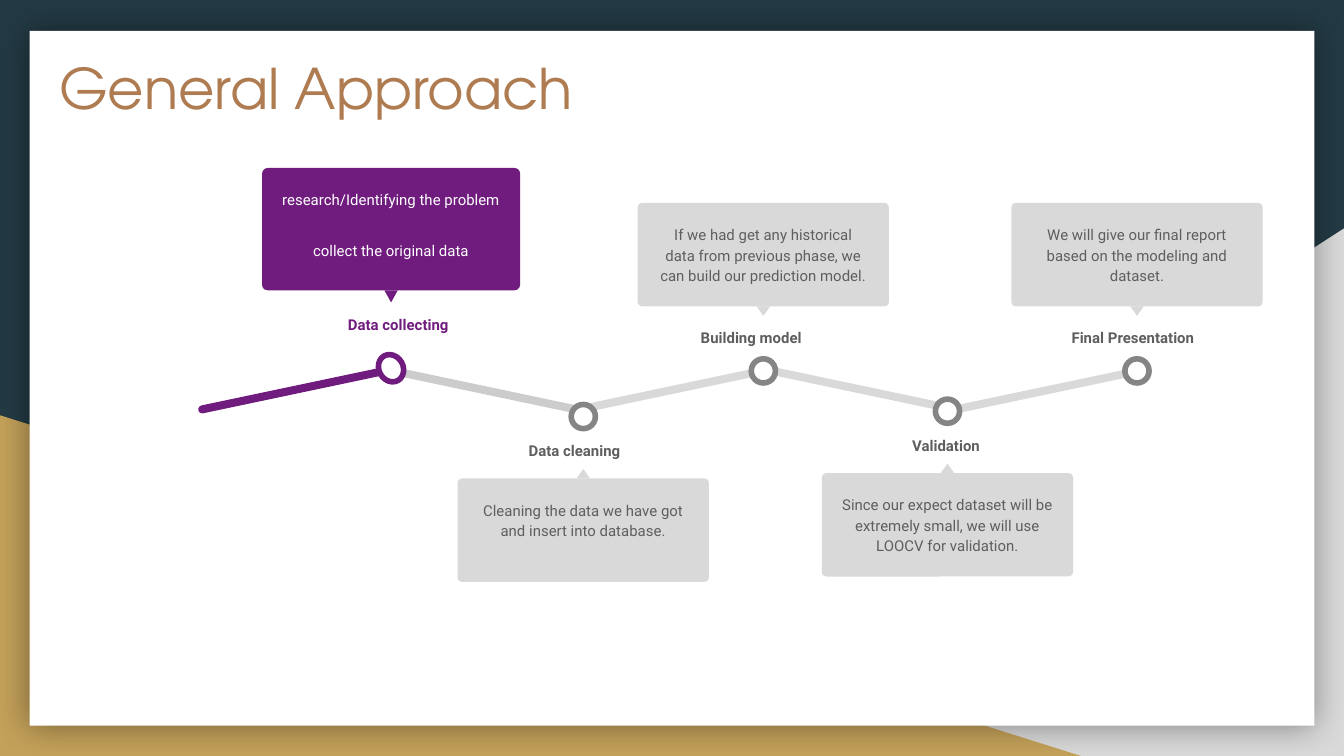
from lxml.etree import SubElement
from pptx import Presentation
from pptx.dml.color import RGBColor
from pptx.enum.shapes import MSO_SHAPE
from pptx.enum.text import MSO_ANCHOR, PP_ALIGN
from pptx.oxml.ns import qn
from pptx.util import Inches, Pt

THEME = {
    "navy": "233A44", "gold": "C4A15A", "silver": "D9D9D9", "white": "FFFFFF",
    "title": "AF7B51", "accent": "701C7F", "ring": "858585", "text": "5E5E5E",
    "link": "CCCCCC", "title_size": 30, "body_size": 8,
    "title_font": "TeX Gyre Adventor", "body_font": "Roboto",
}


def color(name):
    return RGBColor.from_string(THEME[name])


def add_shape(shapes, kind, box, fill, rotation=0):
    shape = shapes.add_shape(kind, *map(Inches, box))
    shape.shadow.inherit = False
    shape.fill.solid()
    shape.fill.fore_color.rgb = color(fill)
    shape.line.fill.background()
    shape.rotation = rotation
    return shape


def add_text(shapes, box, lines, text_color, bold=False, align=PP_ALIGN.CENTER):
    frame = shapes.add_textbox(*map(Inches, box)).text_frame
    frame.word_wrap = True
    for side in ("left", "right", "top", "bottom"):
        setattr(frame, f"margin_{side}", Inches(0.1))
    for index, line in enumerate(lines):
        paragraph = frame.add_paragraph() if index else frame.paragraphs[0]
        paragraph.text = line
        last = index == len(lines) - 1
        layout = {"alignment": align, "line_spacing": 1.15,
                  "space_before": Pt(16 if index else 0),
                  "space_after": Pt(16 if last else 0)}
        for name, value in layout.items():
            setattr(paragraph, name, value)
        font = paragraph.runs[0].font
        font.color.rgb = color(text_color)
        style = {"name": THEME["body_font"], "size": Pt(THEME["body_size"]), "bold": bold}
        for name, value in style.items():
            setattr(font, name, value)


presentation = Presentation()
presentation.slide_width = Inches(10)
presentation.slide_height = Inches(5.625)
slide = presentation.slides.add_slide(presentation.slide_layouts[5])
shapes = slide.shapes

# Background: two corner triangles and a white panel with a soft shadow
slide.background.fill.solid()
slide.background.fill.fore_color.rgb = color("navy")
triangle = add_shape(shapes, MSO_SHAPE.RIGHT_TRIANGLE, (3.92, 1.7, 6.08, 3.93), "silver")
triangle.element.spPr.find(qn("a:xfrm")).set("flipH", "1")
add_shape(shapes, MSO_SHAPE.RIGHT_TRIANGLE, (0, 3.09, 8.06, 2.54), "gold")
panel = add_shape(shapes, MSO_SHAPE.RECTANGLE, (0.22, 0.23, 9.56, 5.17), "white")
effects = panel.element.spPr.find(qn("a:effectLst"))
shadow = SubElement(effects, qn("a:outerShdw"), blurRad=str(Pt(18)), dist="0",
                    algn="ctr", rotWithShape="0")
shadow_color = SubElement(shadow, qn("a:srgbClr"), val="000000")
SubElement(shadow_color, qn("a:alpha"), val="40000")

# Title, brought in front of the panel
title = shapes.title
panel.element.addnext(title.element)
placement = {"left": 0.34, "top": 0.3, "width": 9.32, "height": 0.91}
for name, value in placement.items():
    setattr(title, name, Inches(value))
frame = title.text_frame
frame.text = "General Approach"
frame.vertical_anchor = MSO_ANCHOR.TOP
for side in ("left", "right", "top", "bottom"):
    setattr(frame, f"margin_{side}", Inches(0.1))
paragraph = frame.paragraphs[0]
paragraph.alignment = PP_ALIGN.LEFT
font = paragraph.runs[0].font
font.name = THEME["title_font"]
font.size = Pt(THEME["title_size"])
font.color.rgb = color("title")

# Zigzag of links, alternately rising and falling
links = [(1.46, "accent"), (2.85, "link"), (4.27, "silver"), (5.67, "silver"), (7.07, "silver")]
for index, (left, fill) in reversed(list(enumerate(links))):
    link = add_shape(shapes, MSO_SHAPE.ROUNDED_RECTANGLE, (left, 2.87, 1.48, 0.06), fill,
                     11.9 if index % 2 else -11.9)
    link.adjustments[0] = 0.5

# Steps: node centre, label left and width, label, card lines
steps = [
    (2.91, 2.74, 2.49, 1.23, "Data collecting",
     ["research/Identifying the problem", "collect the original data"]),
    (4.34, 3.1, 3.75, 1.05, "Data cleaning",
     ["Cleaning the data we have got and insert into database."]),
    (5.68, 2.76, 5.07, 1.04, "Building model",
     ["If we had get any historical data from previous phase, we can build our prediction model."]),
    (7.05, 3.06, 6.66, 0.76, "Validation",
     ["Since our expect dataset will be extremely small, we will use LOOCV for validation."]),
    (8.46, 2.76, 7.82, 1.22, "Final Presentation",
     ["We will give our final report based on the modeling and dataset."]),
]
for index, (x, y, label_left, label_width, label, lines) in enumerate(steps):
    group = shapes.add_group_shape().shapes
    active, below = index == 0, index % 2 == 1
    fill, ring, label_color, body_color = (
        ("accent", "accent", "accent", "white") if active
        else ("silver", "ring", "text", "text"))
    width, height, tip, node = (1.92, 0.91, 0.09, 0.21) if active else (1.87, 0.77, 0.07, 0.18)
    if below:
        label_top, card_top = y + 0.09, y + 0.46
        tip_top = card_top - tip
    else:
        label_top = 2.25 if active else y - 0.41
        tip_top = label_top - tip
        card_top = tip_top - height

    # Card with its pointer
    left = x - width / 2
    card = add_shape(group, MSO_SHAPE.ROUNDED_RECTANGLE, (left, card_top, width, height), fill)
    card.adjustments[0] = 0.045
    add_shape(group, MSO_SHAPE.ISOSCELES_TRIANGLE, (x - 0.05, tip_top, 0.1, tip), fill,
              0 if below else 180)
    add_text(group, (left + 0.05, card_top + 0.05, width - 0.1, height - 0.1), lines, body_color)

    # Label and node
    add_text(group, (label_left, label_top, label_width, 0.3), [label], label_color, True,
             PP_ALIGN.LEFT if active else PP_ALIGN.CENTER)
    circle = add_shape(group, MSO_SHAPE.OVAL, (x - 0.09, y - node / 2, 0.18, node), "white", 330.2)
    circle.line.color.rgb = color(ring)
    circle.line.width = Pt(3)

presentation.save("out.pptx")
